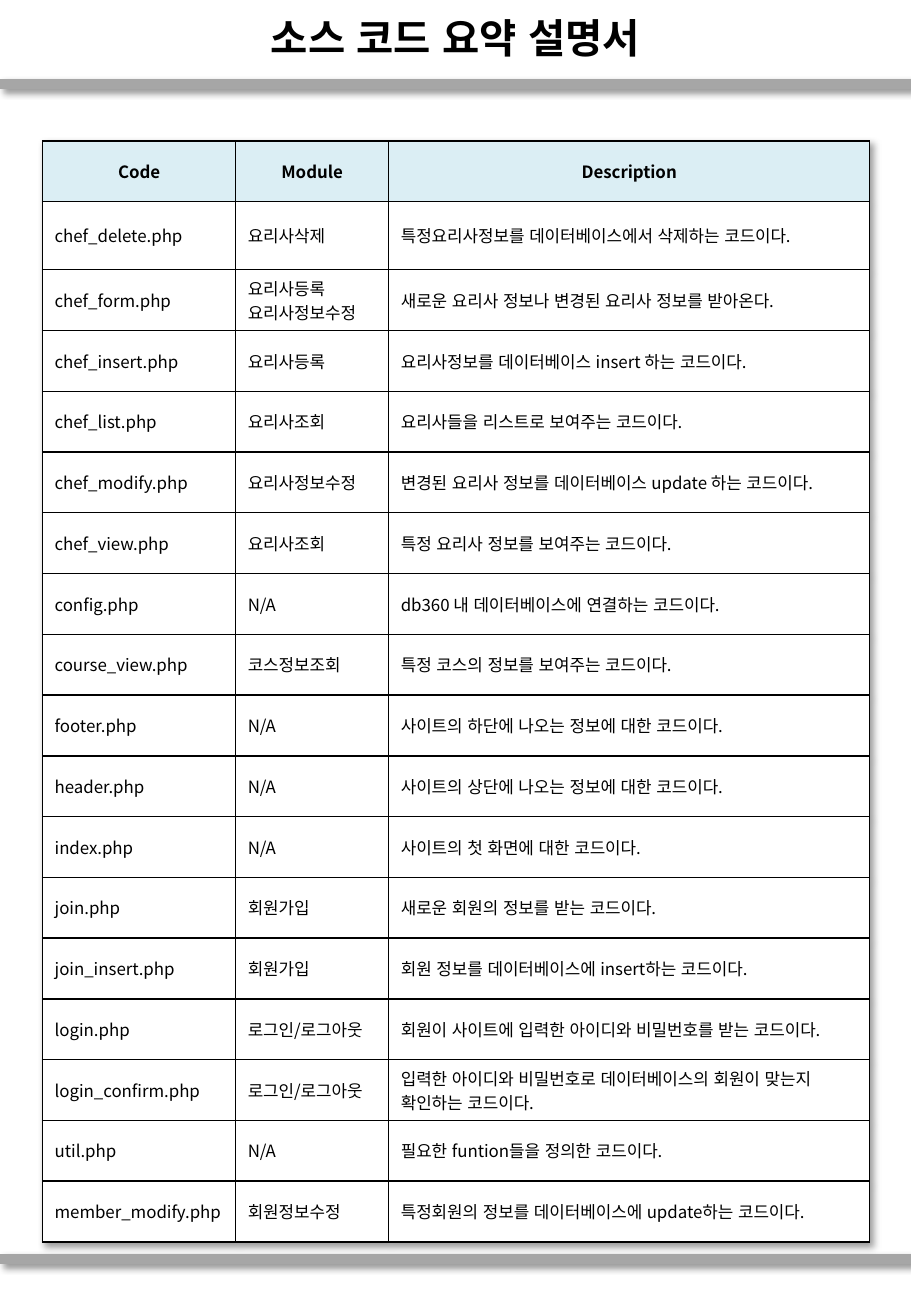
"""Build the one-page summary of the PHP source files."""
from lxml.etree import SubElement
from pptx import Presentation
from pptx.dml.color import RGBColor
from pptx.enum.lang import MSO_LANGUAGE_ID
from pptx.enum.shapes import MSO_CONNECTOR
from pptx.enum.text import MSO_ANCHOR, PP_ALIGN
from pptx.oxml import parse_xml
from pptx.oxml.ns import nsdecls, qn
from pptx.util import Inches, Pt

BLACK, RULE_GREY, HEADER_BLUE, WHITE = "000000", "A6A6A6", "DBEEF4", "FFFFFF"
HANGUL_FONT = "Noto Sans CJK KR"
TITLE_FORMAT = {"name": "Arial", "size": Pt(24), "bold": True}
HEADER_FORMAT = {"name": HANGUL_FONT, "size": Pt(10), "bold": True}
BODY_FORMAT = HEADER_FORMAT | {"bold": False}
SHADOW = (
    f'<a:effectLst {nsdecls("a")}><a:outerShdw blurRad="{Pt(4)}" dist="{Pt(3)}" '
    f'dir="2700000" algn="tl" rotWithShape="0"><a:srgbClr val="{BLACK}">'
    '<a:alpha val="40000"/></a:srgbClr></a:outerShdw></a:effectLst>'
)

HEADINGS = ("Code", "Module", "Description")
SOURCE_FILES = [
    ("chef_delete.php", "요리사삭제", "특정요리사정보를 데이터베이스에서 삭제하는 코드이다."),
    ("chef_form.php", "요리사등록\n요리사정보수정", "새로운 요리사 정보나 변경된 요리사 정보를 받아온다."),
    ("chef_insert.php", "요리사등록", "요리사정보를 데이터베이스 insert 하는 코드이다."),
    ("chef_list.php", "요리사조회", "요리사들을 리스트로 보여주는 코드이다."),
    ("chef_modify.php", "요리사정보수정", "변경된 요리사 정보를 데이터베이스 update 하는 코드이다."),
    ("chef_view.php", "요리사조회", "특정 요리사 정보를 보여주는 코드이다."),
    ("config.php", "N/A", "db360 내 데이터베이스에 연결하는 코드이다."),
    ("course_view.php", "코스정보조회", "특정 코스의 정보를 보여주는 코드이다."),
    ("footer.php", "N/A", "사이트의 하단에 나오는 정보에 대한 코드이다."),
    ("header.php", "N/A", "사이트의 상단에 나오는 정보에 대한 코드이다."),
    ("index.php", "N/A", "사이트의 첫 화면에 대한 코드이다."),
    ("join.php", "회원가입", "새로운 회원의 정보를 받는 코드이다."),
    ("join_insert.php", "회원가입", "회원 정보를 데이터베이스에 insert하는 코드이다."),
    ("login.php", "로그인/로그아웃", "회원이 사이트에 입력한 아이디와 비밀번호를 받는 코드이다."),
    ("login_confirm.php", "로그인/로그아웃",
     "입력한 아이디와 비밀번호로 데이터베이스의 회원이 맞는지 확인하는 코드이다."),
    ("util.php", "N/A", "필요한 funtion들을 정의한 코드이다."),
    ("member_modify.php", "회원정보수정", "특정회원의 정보를 데이터베이스에 update하는 코드이다."),
]
COLUMN_WIDTHS = (1.59, 1.26, 3.96)
ROW_HEIGHTS = [0.5, 0.56] + [0.5] * (len(SOURCE_FILES) - 1)


def paint(color_format, hex_color):
    color_format.rgb = RGBColor.from_string(hex_color)


def write(frame, text, formats, alignment):
    frame.text = text
    frame.vertical_anchor = MSO_ANCHOR.MIDDLE
    for paragraph in frame.paragraphs:
        paragraph.alignment = alignment
        for run in paragraph.runs:
            for attribute, value in formats.items():
                setattr(run.font, attribute, value)
            run.font.language_id = MSO_LANGUAGE_ID.KOREAN
            paint(run.font.color, BLACK)
            SubElement(run.font._element, qn("a:ea"), typeface=HANGUL_FONT)


prs = Presentation()
prs.slide_width, prs.slide_height = Inches(7.5), Inches(10.83)
slide = prs.slides.add_slide(prs.slide_layouts[6])

for rule_y in (Inches(0.69), Inches(10.36)):
    rule = slide.shapes.add_connector(
        MSO_CONNECTOR.STRAIGHT, 0, rule_y, prs.slide_width, rule_y)
    paint(rule.line.color, RULE_GREY)
    rule.line.width = Pt(6)
    rule._element.spPr.append(parse_xml(SHADOW))

title = slide.shapes.add_textbox(0, Inches(0.01), prs.slide_width, Inches(0.6))
title.text_frame.word_wrap = True
write(title.text_frame, "소스 코드 요약 설명서", TITLE_FORMAT, PP_ALIGN.CENTER)

summary = slide.shapes.add_table(
    len(ROW_HEIGHTS), len(COLUMN_WIDTHS), Inches(0.35), Inches(1.16),
    Inches(sum(COLUMN_WIDTHS)), Inches(sum(ROW_HEIGHTS))).table
summary.first_row = summary.horz_banding = False
summary._tbl.tblPr.insert(0, parse_xml(SHADOW))
for column, width in zip(summary.columns, COLUMN_WIDTHS):
    column.width = Inches(width)
for row, height in zip(summary.rows, ROW_HEIGHTS):
    row.height = Inches(height)

for row_index, entries in enumerate([HEADINGS, *SOURCE_FILES]):
    if row_index == 0:
        fill_color, formats, alignment = HEADER_BLUE, HEADER_FORMAT, PP_ALIGN.CENTER
    else:
        fill_color, formats, alignment = WHITE, BODY_FORMAT, PP_ALIGN.LEFT
    for column_index, entry in enumerate(entries):
        cell = summary.cell(row_index, column_index)
        write(cell.text_frame, entry, formats, alignment)
        cell.vertical_anchor = MSO_ANCHOR.MIDDLE
        cell.fill.solid()
        paint(cell.fill.fore_color, fill_color)
        for position, side in enumerate("LRTB"):
            cell._tc.tcPr.insert(position, parse_xml(
                f'<a:ln{side} {nsdecls("a")} w="{Pt(1)}"><a:solidFill>'
                f'<a:srgbClr val="{BLACK}"/></a:solidFill></a:ln{side}>'))

prs.save("out.pptx")
